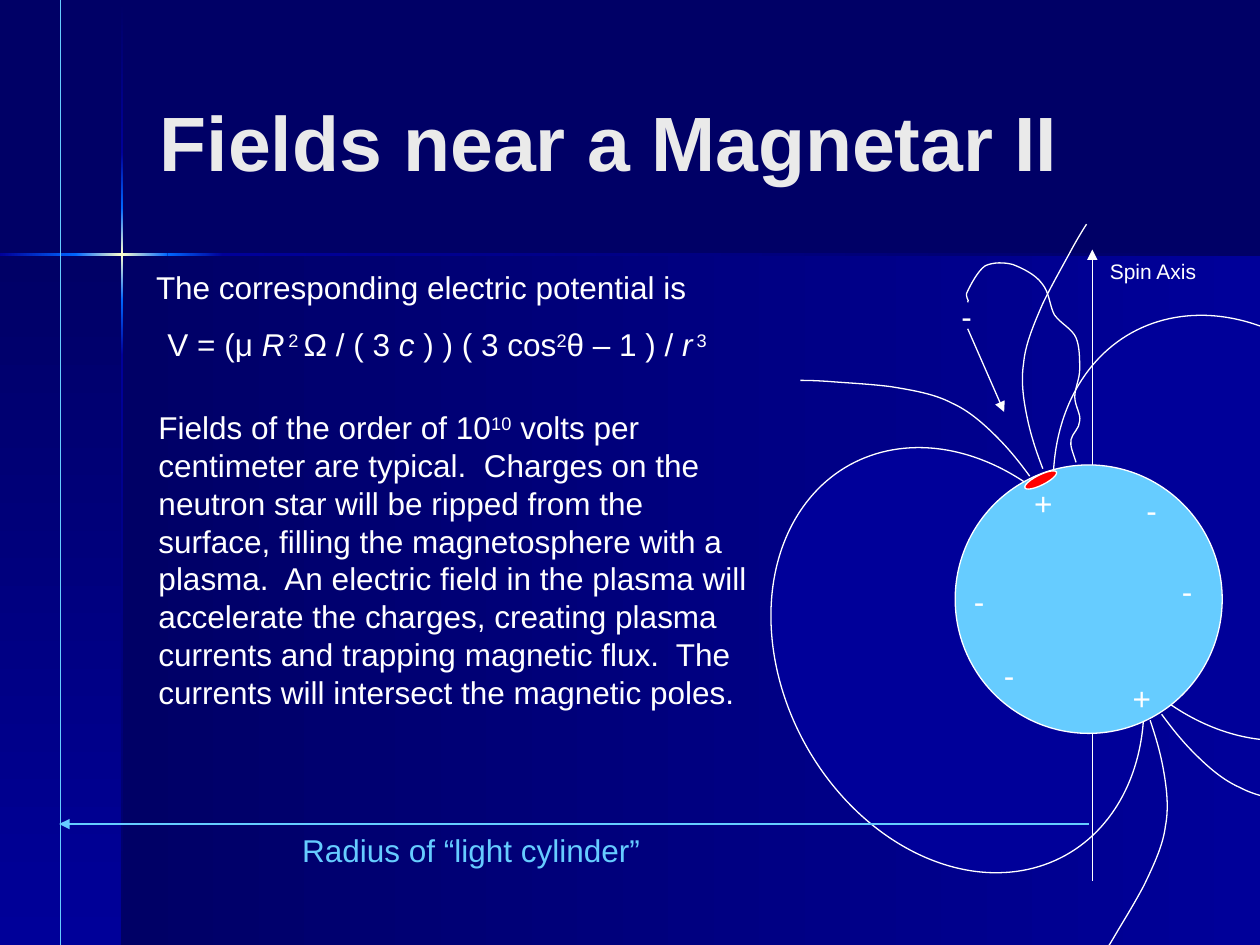
import copy
import pptx
import pptx.util
import pptx.dml.color
import pptx.enum.shapes
import pptx.enum.text
import pptx.oxml.ns
import pptx.oxml.xmlchemy

Pt = pptx.util.Pt
KIND = pptx.enum.shapes.MSO_SHAPE
qn = pptx.oxml.ns.qn
node = pptx.oxml.xmlchemy.OxmlElement

HUES = {"dark": "000066", "navy": "000099", "blue": "0066FF", "glow": "FFFFCC",
        "white": "FFFFFF", "title": "EAEAEA", "sky": "66CCFF", "red": "FF0000"}

# Backdrop: left, top, width, height, angle, stops
BANDS = [
    (69.8, 145.4, 650.2, 394.6, 180, ("navy", "dark")),
    (0, 145.4, 69.8, 394.6, 90, ("dark", "navy")),
    (69.1, 0.7, 1.4, 86.4, 90, ("dark", "navy")),
    (69.1, 203, 1.4, 337, 90, ("navy", "dark")),
    (127.4, 144.7, 592.6, 1.4, 180, ("dark", "navy")),
    (69.1, 171.4, 1.4, 31.6, 90, ("blue", "navy")),
    (69.1, 87.1, 1.4, 31.7, 90, ("navy", "blue")),
    (69.1, 118.8, 1.4, 52.6, 90, ("blue", "glow", "blue")),
    (0, 144.7, 43.9, 1.4, 180, ("blue", "navy")),
    (95.8, 144.7, 31.6, 1.4, 180, ("navy", "blue")),
    (43.2, 144.7, 52.6, 1.4, 180, ("blue", "glow", "blue")),
]

# Text runs: words, then marks (i italic, u raised, s small)
POWER = [("V = (μ ", ""), ("R", "i"), (" ", "is"), ("2 ", "u"), ("Ω / ( 3 ", ""),
         ("c", "i"), (" ) ) ( 3 cos", ""), ("2", "u"), ("θ – 1 ) / ", ""),
         ("r", "i"), (" ", "is"), ("3", "u")]
BODY = [("Fields of the order of 10", ""), ("10", "u"),
        (" volts per centimeter are typical.  Charges on the neutron star will be "
         "ripped from the surface, filling the magnetosphere with a plasma.  An "
         "electric field in the plasma will accelerate the charges, creating plasma "
         "currents and trapping magnetic flux.  The currents will intersect the "
         "magnetic poles.", "")]
SIGNS = [("+", 583.9, 272.9), ("-", 542.2, 166.3), ("-", 648, 277.2),
         ("-", 668.2, 323.3), ("+", 640.1, 384.5), ("-", 549.4, 329),
         ("-", 566.6, 371.5)]

# Bezier points: one open field line, and the path of a charge
SIZE = (131, 54.7)
FIELD = [(0, 0), (5.8, 7.9), (11.5, 15.1), (18.7, 22.3), (25.9, 29.5), (34.6, 37.4),
         (44.6, 41.8), (54, 46.8), (66.2, 49), (79.2, 51.1), (90.7, 52.6),
         (105.1, 53.3), (113.8, 54), (123.1, 54.7), (128.9, 54.7), (131, 54.7)]
# left, top, flip across, flip down, turn
OPEN = [(457.4, 217.4, True, True, 0), (542.9, 170.6, False, True, 302.8),
        (576.7, 453.6, True, False, 304.9), (663.8, 408.2, False, False, 0)]
TRAIL = [(614.9, 264.2), (613.4, 259.2), (611.3, 254.9), (612, 251.3), (612.7, 247.7),
         (617, 244.8), (617, 240.5), (617.8, 236.9), (614.2, 231.8), (614.2, 226.8),
         (614.2, 221.8), (617, 216.7), (617, 211), (617, 205.2), (617, 198),
         (614.9, 193), (612.7, 187.9), (606.2, 185), (602.6, 180), (599.8, 175),
         (599.8, 167), (595.4, 162), (591.8, 157), (584.6, 153.4), (578.9, 151.2),
         (573.8, 149.8), (567.4, 149.8), (563, 151.9), (558.7, 154.8),
         (554.4, 163.4), (553, 166.3), (550.8, 169.9), (554.4, 171.4), (553, 172.8)]

deck = pptx.Presentation()
deck.slide_width, deck.slide_height = Pt(720), Pt(540)
slide = deck.slides.add_slide(deck.slide_layouts[6])


def tint(name):
    return pptx.dml.color.RGBColor.from_string(HUES[name])


def style(part, fill=None, line=None, turn=0):
    part.shadow.inherit = False
    part.rotation = turn
    if fill:
        part.fill.solid()
        part.fill.fore_color.rgb = tint(fill)
    else:
        part.fill.background()
    if line:
        part.line.color.rgb = tint(line)
        part.line.width = Pt(0.75)
    else:
        part.line.fill.background()


def shape(kind, box, **look):
    part = slide.shapes.add_shape(kind, *map(Pt, box))
    style(part, **look)
    return part


def band(box, angle, hues):
    fill = shape(KIND.RECTANGLE, box).fill
    fill.gradient()
    fill.gradient_angle = 360 - angle
    if len(hues) == 3:
        first = fill.gradient_stops[0]._gs
        first.addnext(copy.deepcopy(first))
    for n, (stop, hue) in enumerate(zip(fill.gradient_stops, hues)):
        stop.position = n / (len(hues) - 1)
        stop.color.rgb = tint(hue)


def curve(dots, turn=0):
    dots = [(Pt(x), Pt(y)) for x, y in dots]
    pen = slide.shapes.build_freeform(*dots[0])
    pen.add_line_segments(dots[1:], close=False)
    part = pen.convert_to_shape()
    style(part, line="white", turn=turn)
    # Each three straight steps become one Bezier segment
    steps = list(part._element.iter(qn("a:lnTo")))
    for n in range(0, len(steps), 3):
        bend = node("a:cubicBezTo")
        steps[n].addprevious(bend)
        for step in steps[n:n + 3]:
            bend.append(step[0])
            step.getparent().remove(step)


def line(*ends, hue="white", arrow=True):
    part = slide.shapes.add_connector(pptx.enum.shapes.MSO_CONNECTOR.STRAIGHT,
                                      *map(Pt, ends))
    part.line.color.rgb = tint(hue)
    part.line.width = Pt(0.75)
    if arrow:
        tip = node("a:tailEnd")
        tip.set("type", "triangle")
        part.line._get_or_add_ln().append(tip)
    part._element.spPr.append(node("a:effectLst"))


def text(runs, *box, size=18, hue="white", bold=False, middle=False):
    frame = slide.shapes.add_textbox(*map(Pt, box)).text_frame
    frame.word_wrap = True
    if middle:
        frame.vertical_anchor = pptx.enum.text.MSO_ANCHOR.MIDDLE
    for words, marks in [(runs, "")] if isinstance(runs, str) else runs:
        run = frame.paragraphs[0].add_run()
        run.text = words
        font = run.font
        font.name, font.bold, font.italic = "Arial", bold, "i" in marks
        font.size = Pt(8 if "s" in marks else size)
        font.color.rgb = tint(hue)
        if "u" in marks:
            run._r.get_or_add_rPr().set("baseline", "30000")


# Backdrop
slide.background.fill.solid()
slide.background.fill.fore_color.rgb = tint("dark")
for *box, angle, hues in BANDS:
    band(box, angle, hues)

# Title and text
text("Fields near a Magnetar II", 84.2, 23.8, 594, 113, size=44, hue="title",
     bold=True, middle=True)
text("The corresponding electric potential is", 82.1, 149.8, 350.6, 28.8)
text(POWER, 88.6, 182.2, 347, 28.8)
text(BODY, 83.5, 229.7, 355.7, 180)

# Light cylinder
shape(KIND.RECTANGLE, (34.6, -15.8, 705.6, 576.7), line="sky")
text("Radius of “light cylinder”", 165.6, 471.6, 305.3, 28.8, hue="sky")

# Field lines, open then closed
for left, top, across, down, turn in OPEN:
    curve([(left + (SIZE[0] - x if across else x),
            top + (SIZE[1] - y if down else y)) for x, y in FIELD], turn)
for left, top in ((447.8, 249.8), (609.1, 174.2)):
    shape(KIND.OVAL, (left, top, 198.7, 254.9), fill="navy", line="white", turn=331.1)

# Star, axis and charges
line(624.2, 143.3, 624.2, 503.3, arrow=False)
shape(KIND.OVAL, (545.8, 265.7, 152.6, 153.4), fill="sky", line="white")
line(553, 187.9, 573.8, 235.4)
line(622.1, 470.9, 33.8, 470.9, hue="sky")
curve(TRAIL)
shape(KIND.OVAL, (584.6, 271.4, 20.2, 5.8), fill="red", line="white", turn=333.4)
for sign, left, top in SIGNS:
    text(sign, left, top, 25.2, 28.8)
line(624.2, 265, 624.2, 142.6)
text("Spin Axis", 627.1, 144, 72.7, 21.6, size=12)

deck.save("out.pptx")
